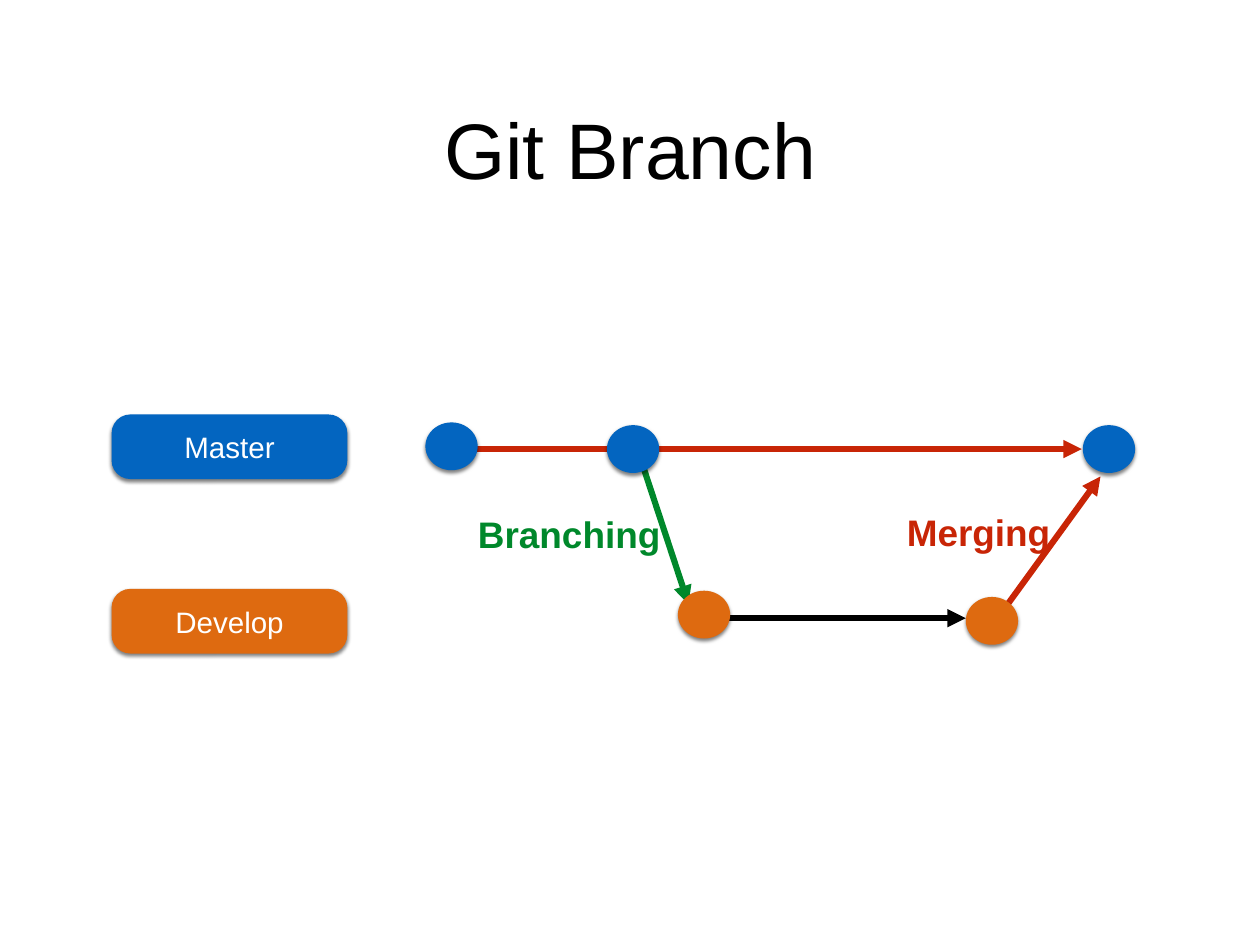
from lxml.etree import SubElement
from pptx import Presentation
from pptx.dml.color import RGBColor
from pptx.enum.shapes import MSO_CONNECTOR as Connector, MSO_SHAPE as Shape
from pptx.enum.text import MSO_ANCHOR as Anchor, PP_ALIGN as Align
from pptx.oxml.ns import qn
from pptx.util import Inches, Pt

BLUE = RGBColor(0x03, 0x65, 0xC0)
ORANGE = RGBColor(0xDE, 0x6A, 0x10)
RED = RGBColor(0xC8, 0x25, 0x06)
GREEN = RGBColor(0x00, 0x88, 0x2B)
BLACK = RGBColor(0x00, 0x00, 0x00)
WHITE = RGBColor(0xFF, 0xFF, 0xFF)

WIDTH, HEIGHT = Inches(14.22), Inches(10.67)
COLUMN, ROW = WIDTH / 100, HEIGHT / 100  # grid of 100 columns by 100 rows
PILL_LEFT, PILL_SIZE = 8.86, (18.71, 6.84)
COMMIT_SIZE = (4.15, 5.06)


def on_grid(*lengths):
    """Turn alternating columns and rows into slide lengths."""
    return [round(length * (ROW if index % 2 else COLUMN))
            for index, length in enumerate(lengths)]


def write(holder, text, size, color, bold=False, wrap=True):
    frame = holder.text_frame
    frame.word_wrap = wrap
    frame.vertical_anchor = Anchor.MIDDLE
    frame.margin_left = frame.margin_right = Inches(0.06)
    frame.margin_top = frame.margin_bottom = Inches(0.06)
    para = frame.paragraphs[0]
    para.text = text
    para.alignment = Align.CENTER
    font = para.font
    font.name, font.size, font.bold = "Arial", Pt(size), bold
    font.color.rgb = color


def add_label(page, area, text, size, color, **style):
    box = page.shapes.add_textbox(*on_grid(*area))
    write(box, text, size, color, **style)


def add_arrow(page, start, end, color):
    arrow = page.shapes.add_connector(Connector.STRAIGHT, *on_grid(*start, *end))
    arrow.line.color.rgb = color
    arrow.line.width = Pt(5)
    SubElement(arrow.line._get_or_add_ln(), qn("a:tailEnd"), type="triangle")
    SubElement(arrow._element.spPr, qn("a:effectLst"))


def add_shadowed(page, kind, area, color):
    shape = page.shapes.add_shape(kind, *on_grid(*area))
    shape.fill.solid()
    shape.fill.fore_color.rgb = color
    shape.line.fill.background()
    shape.shadow.inherit = False
    effects = shape._element.spPr.find(qn("a:effectLst"))
    shadow = SubElement(effects, qn("a:outerShdw"), blurRad=str(Pt(3)),
                        dist=str(Pt(2)), dir="5400000", rotWithShape="0")
    shade = SubElement(shadow, qn("a:srgbClr"), val=str(BLACK))
    SubElement(shade, qn("a:alpha"), val="50000")
    return shape


def add_branch_name(page, top, name, color):
    pill = add_shadowed(page, Shape.ROUNDED_RECTANGLE,
                        (PILL_LEFT, top, *PILL_SIZE), color)
    pill.adjustments[0] = 0.29
    write(pill, name, 24, WHITE)


def add_commit(page, left, top, color):
    add_shadowed(page, Shape.OVAL, (left, top, *COMMIT_SIZE), color)


def main():
    deck = Presentation()
    deck.slide_width, deck.slide_height = WIDTH, HEIGHT
    page = deck.slides.add_slide(deck.slide_layouts[6])

    add_label(page, (7.31, 4.59, 85.37, 22.12), "Git Branch", 64, BLACK)

    add_branch_name(page, 43.86, "Master", BLUE)
    add_branch_name(page, 62.32, "Develop", ORANGE)

    for start, end, color in (
        ((36.64, 47.52), (85.86, 47.52), RED),
        ((79.89, 64.1), (87.34, 50.42), RED),
        ((57.88, 65.42), (76.65, 65.42), BLACK),
        ((51.05, 49.39), (54.64, 63.92), GREEN),
    ):
        add_arrow(page, start, end, color)

    for left, top, color in (
        (33.76, 44.7, BLUE),
        (48.17, 44.99, BLUE),
        (85.94, 44.99, BLUE),
        (53.8, 62.51, ORANGE),
        (76.65, 63.17, ORANGE),
    ):
        add_commit(page, left, top, color)

    add_label(page, (37.48, 53.61, 15.4, 5.72), "Branching", 30, GREEN,
              bold=True, wrap=False)
    add_label(page, (71.52, 53.42, 12.31, 5.72), "Merging", 30, RED,
              bold=True, wrap=False)

    deck.save("out.pptx")


if __name__ == "__main__":
    main()
